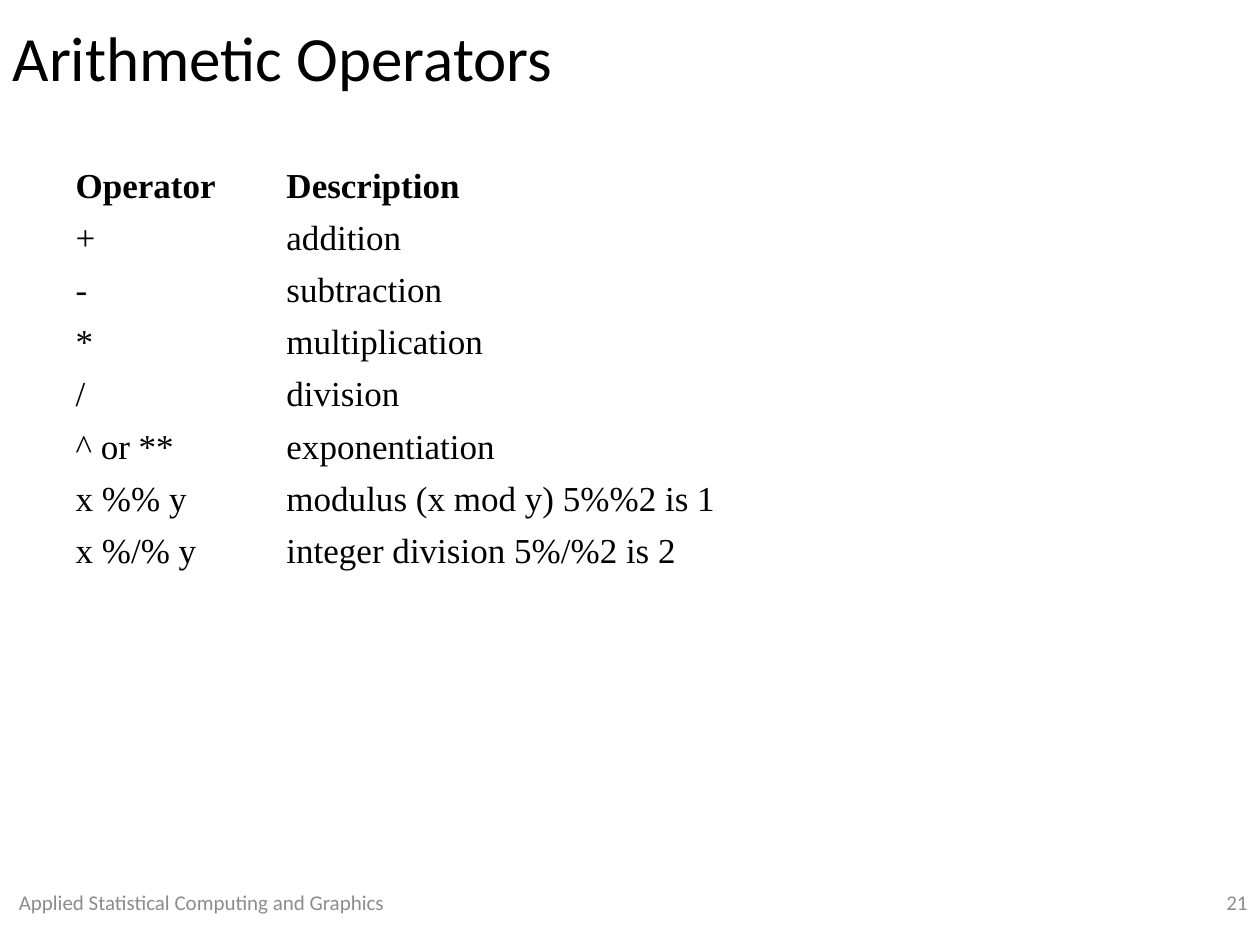
from pptx import Presentation
from pptx.dml.color import RGBColor
from pptx.enum.text import MSO_ANCHOR, PP_ALIGN
from pptx.util import Inches, Pt

ROWS = [
    ("Operator", "Description"),
    ("+", "addition"),
    ("-", "subtraction"),
    ("*", "multiplication"),
    ("/", "division"),
    ("^ or **", "exponentiation"),
    ("x %% y", "modulus (x mod y) 5%%2 is 1"),
    ("x %/% y", "integer division 5%/%2 is 2"),
]


def color(code):
    """Turn a hex string into a colour."""
    return RGBColor.from_string(code)


class Deck:
    """Hold the style and the current slide."""

    styles = {
        "title": {"name": "Calibri", "size": Pt(36), "bold": False},
        "foot": {"name": "Calibri", "size": Pt(12), "bold": False},
        "head": {"name": "Times New Roman", "size": Pt(20), "bold": True},
        "cell": {"name": "Times New Roman", "size": Pt(20), "bold": False},
    }
    inks = {"foot": "8C8C8C"}

    def __init__(self, wide, high):
        """Start a deck with one title slide of the given size."""
        self.prs = Presentation()
        self.wide, self.high = Inches(wide), Inches(high)
        self.prs.slide_width, self.prs.slide_height = self.wide, self.high
        self.slide = self.prs.slides.add_slide(self.prs.slide_layouts[5])

    def box(self, left, top, width, height):
        """Turn shares of the slide into lengths."""
        return (int(left * self.wide), int(top * self.high),
                int(width * self.wide), int(height * self.high))

    def words(self, frame, text, style, align=PP_ALIGN.LEFT):
        """Put styled text in a frame."""
        frame.word_wrap = True
        para = frame.paragraphs[0]
        para.alignment = align
        run = para.add_run()
        run.text = text
        for key, value in self.styles[style].items():
            setattr(run.font, key, value)
        run.font.color.rgb = color(self.inks.get(style, "000000"))

    def title(self, text, *area):
        """Fill and move the title."""
        shape = self.slide.shapes.title
        places = zip(("left", "top", "width", "height"), self.box(*area))
        for key, value in places:
            setattr(shape, key, value)
        shape.text_frame.vertical_anchor = MSO_ANCHOR.MIDDLE
        self.words(shape.text_frame, text, "title")

    def label(self, text, align, *area):
        """Add a footer label."""
        shape = self.slide.shapes.add_textbox(*self.box(*area))
        shape.text_frame.vertical_anchor = MSO_ANCHOR.MIDDLE
        self.words(shape.text_frame, text, "foot", align)

    def table(self, rows, shares, *area):
        """Add a plain table with a bold head."""
        place = self.box(*area)
        grid = self.slide.shapes.add_table(len(rows), len(shares), *place).table
        grid.first_row = grid.horz_banding = False
        for column, share in zip(grid.columns, shares):
            column.width = int(share * place[2])
        for r, texts in enumerate(rows):
            for c, text in enumerate(texts):
                cell = grid.cell(r, c)
                cell.fill.solid()
                cell.fill.fore_color.rgb = color("FFFFFF")
                cell.margin_top = cell.margin_bottom = Inches(0.04)
                cell.vertical_anchor = MSO_ANCHOR.MIDDLE
                self.words(cell.text_frame, text, "cell" if r else "head")


def main():
    """Build the slide."""
    deck = Deck(10, 7.5)
    deck.label("Applied Statistical Computing and Graphics", PP_ALIGN.CENTER,
               0, 0.93, 0.32, 0.05)
    deck.label("21", PP_ALIGN.RIGHT, 0.77, 0.93, 0.23, 0.05)
    deck.table(ROWS, (0.27, 0.73), 0.05, 0.17, 0.62, 0.44)
    deck.title("Arithmetic Operators", 0, 0, 1, 0.12)
    deck.prs.save("out.pptx")


if __name__ == "__main__":
    main()
